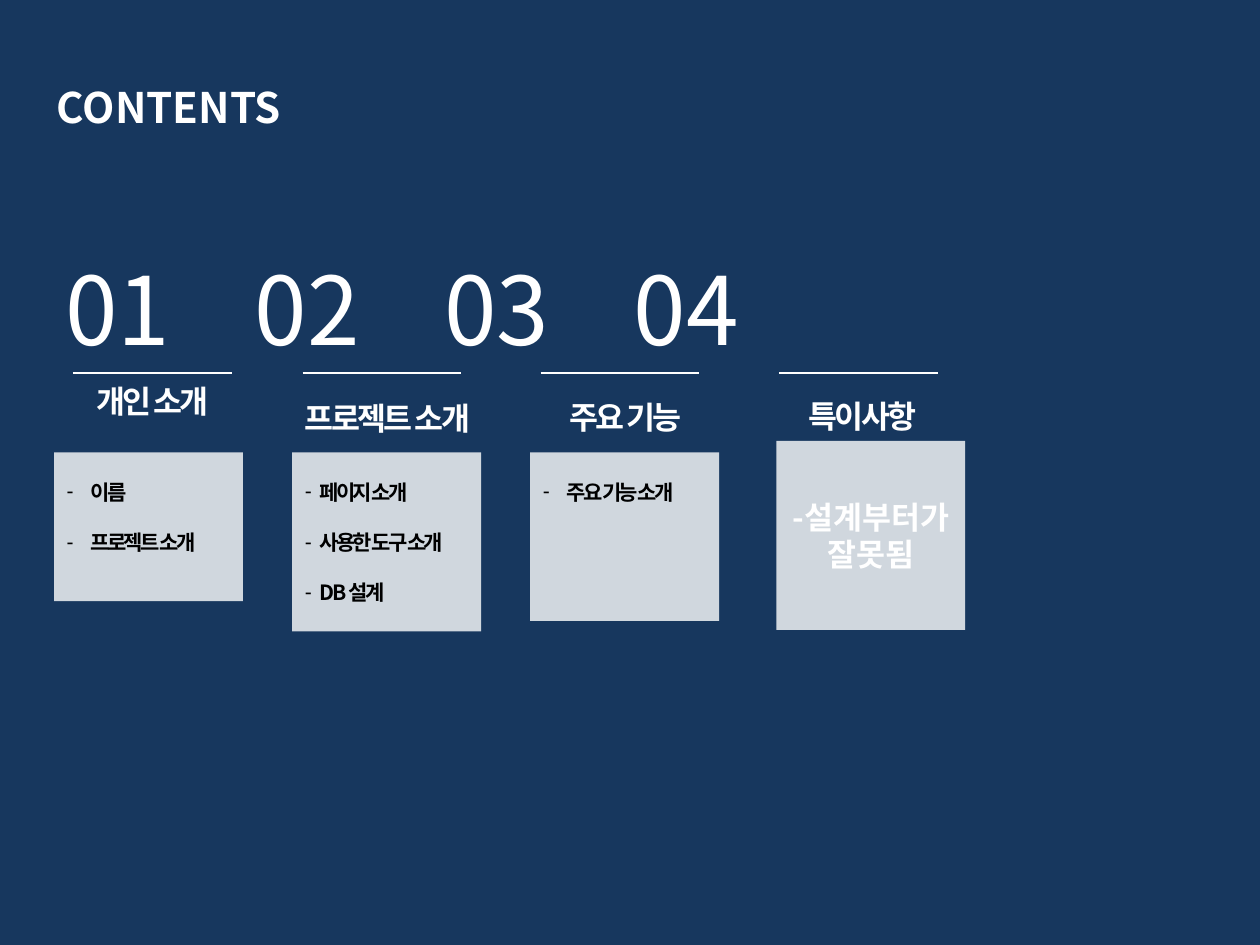
from dataclasses import dataclass

from lxml import etree
from pptx import Presentation
from pptx import util as u
from pptx.dml.color import RGBColor
from pptx.enum import shapes, text
from pptx.oxml import ns


@dataclass(frozen=True)
class Theme:
    """Colours, fonts and type sizes."""
    navy: str = "17375E"
    white: str = "FFFFFF"
    black: str = "000000"
    sans: str = "Noto Sans CJK KR"
    head: str = "Arial"
    huge: int = 54
    title: int = 24
    mid: int = 18
    small: int = 12
    lead: float = 1.2
    tight: int = -150
    alpha: int = 80000


def sub(node, tag, **attrs):
    """Add a child element to a drawing node."""
    return etree.SubElement(node, ns.qn(tag), attrs)


class Deck:
    """Holds the style and the current slide."""

    def __init__(self, theme):
        """Open a slide with a title and body placeholders."""
        self.look = theme
        self.prs = Presentation()
        self.prs.slide_width, self.prs.slide_height = u.Cm(25.4), u.Cm(19.05)
        self.slide = self.prs.slides.add_slide(self.prs.slide_layouts[4])
        fill = self.slide.background.fill
        fill.solid()
        fill.fore_color.rgb = RGBColor.from_string(theme.navy)
        self.bodies = [s for s in self.slide.placeholders
                       if s.placeholder_format.idx > 0]

    def place(self, shape, box):
        """Move a shape to left, top, width, height and to the front."""
        shape.left, shape.top, shape.width, shape.height = map(u.Cm, box)
        node = shape.element
        node.getparent().append(node)

    def words(self, shape, lines, size, color=None, font=None, bold=True,
              align=text.PP_ALIGN.LEFT, anchor=text.MSO_ANCHOR.TOP,
              space=0, gap=0, dash=None, tabs=()):
        """Fill a shape with styled paragraphs."""
        look, frame = self.look, shape.text_frame
        frame.word_wrap = True
        frame.auto_size = text.MSO_AUTO_SIZE.NONE
        frame.vertical_anchor = anchor
        frame.text = "\n".join(lines)
        for para in frame.paragraphs:
            para.alignment = align
            para.line_spacing = u.Pt(size * look.lead)
            para.space_before, para.space_after = u.Pt(0), u.Pt(gap)
            para.font.size, para.font.bold = u.Pt(size), bold
            para.font.color.rgb = RGBColor.from_string(color or look.white)
            para.font.name = font or look.sans
            props = para._p.get_or_add_pPr()
            base = props.find(ns.qn("a:defRPr"))
            base.set("spc", str(space))
            sub(base, "a:ea", typeface=look.sans)
            if dash:
                props.set("marL", str(u.Cm(dash)))
                props.set("indent", str(-u.Cm(dash)))
                base.addprevious(sub(props, "a:buChar", char="-"))
            if tabs:
                stops = sub(props, "a:tabLst")
                for stop in tabs:
                    sub(stops, "a:tab", pos=str(u.Cm(stop)), algn="l")
                base.addprevious(stops)

    def title(self, line, box):
        """Set the slide title."""
        shape = self.slide.shapes.title
        self.place(shape, box)
        self.words(shape, [line], self.look.title)

    def label(self, line, box, size, **style):
        """Add a text box with one line."""
        shape = self.slide.shapes.add_textbox(*map(u.Cm, box))
        self.words(shape, [line], size, **style)

    def rule(self, left, top, width):
        """Add a thin level line."""
        line = self.slide.shapes.add_connector(
            shapes.MSO_CONNECTOR.STRAIGHT,
            *map(u.Cm, (left, top, left + width, top)))
        line.line.color.rgb = RGBColor.from_string(self.look.white)
        line.line.width = u.Pt(0.75)
        sub(line.element.spPr, "a:effectLst")

    def panel(self, box):
        """Add a see-through white panel."""
        shape = self.slide.shapes.add_shape(
            shapes.MSO_SHAPE.RECTANGLE, *map(u.Cm, box))
        shape.shadow.inherit = False
        shape.line.fill.background()
        shape.fill.solid()
        shape.fill.fore_color.rgb = RGBColor.from_string(self.look.white)
        tint = shape.element.spPr.find(ns.qn("a:solidFill"))[0]
        sub(tint, "a:alpha", val=str(self.look.alpha))
        return shape

    def items(self, lines, box, dash):
        """Set a dashed list in the next body placeholder."""
        shape = self.bodies.pop(0)
        self.place(shape, box)
        look = self.look
        self.words(shape, lines, look.small, color=look.black, gap=14.4,
                   space=look.tight, dash=dash)

    def save(self):
        """Drop unused placeholders."""
        for shape in self.bodies:
            shape.element.getparent().remove(shape.element)
        self.prs.save("out.pptx")


def main():
    """Build the contents slide."""
    look = Theme()
    deck = Deck(look)
    mid = text.PP_ALIGN.CENTER
    deck.title("CONTENTS", (0.89, 1.52, 11.61, 1.27))
    deck.label("01\t02\t03\t04", (1.07, 4.93, 23.6, 2.57), look.huge,
               bold=False, tabs=[3.82 * n for n in (1, 2, 3)])

    # rule left, heading and its box, panel left, top and height
    parts = [
        (1.47, "개인 소개", (1.17, 7.57, 3.81), (1.09, 9.12, 3.0)),
        (6.1, "프로젝트 소개", (5.51, 7.92, 4.6), (5.89, 9.12, 3.61)),
        (10.9, "주요 기능", (10.31, 7.9, 4.6), (10.69, 9.12, 3.4)),
        (15.7, "특이사항", (15.09, 7.87, 4.6), (15.65, 8.89, 3.81)),
    ]
    # list lines, height and hanging indent
    lists = [
        (["이름", "프로젝트 소개"], 2.31, 0.48),
        (["페이지 소개", "사용한 도구 소개", "DB 설계"], 3.84, 0.3),
        (["주요 기능 소개"], 1.27, 0.48),
    ]
    side = 3.81
    cards = []
    for start, head, spot, (left, top, high) in parts:
        deck.rule(start, 7.52, 3.2)
        deck.label(head, (*spot, 1.02), look.mid, font=look.head,
                   align=mid, space=look.tight)
        cards.append(deck.panel((left, top, side, high)))
    for card, (lines, high, dash) in zip(cards, lists):
        deck.items(lines, (card.left.cm, 9.53, side, high), dash)
    deck.words(cards[-1], ["-설계부터가 잘못됨"], look.mid, align=mid,
               anchor=text.MSO_ANCHOR.MIDDLE)
    deck.save()


main()
